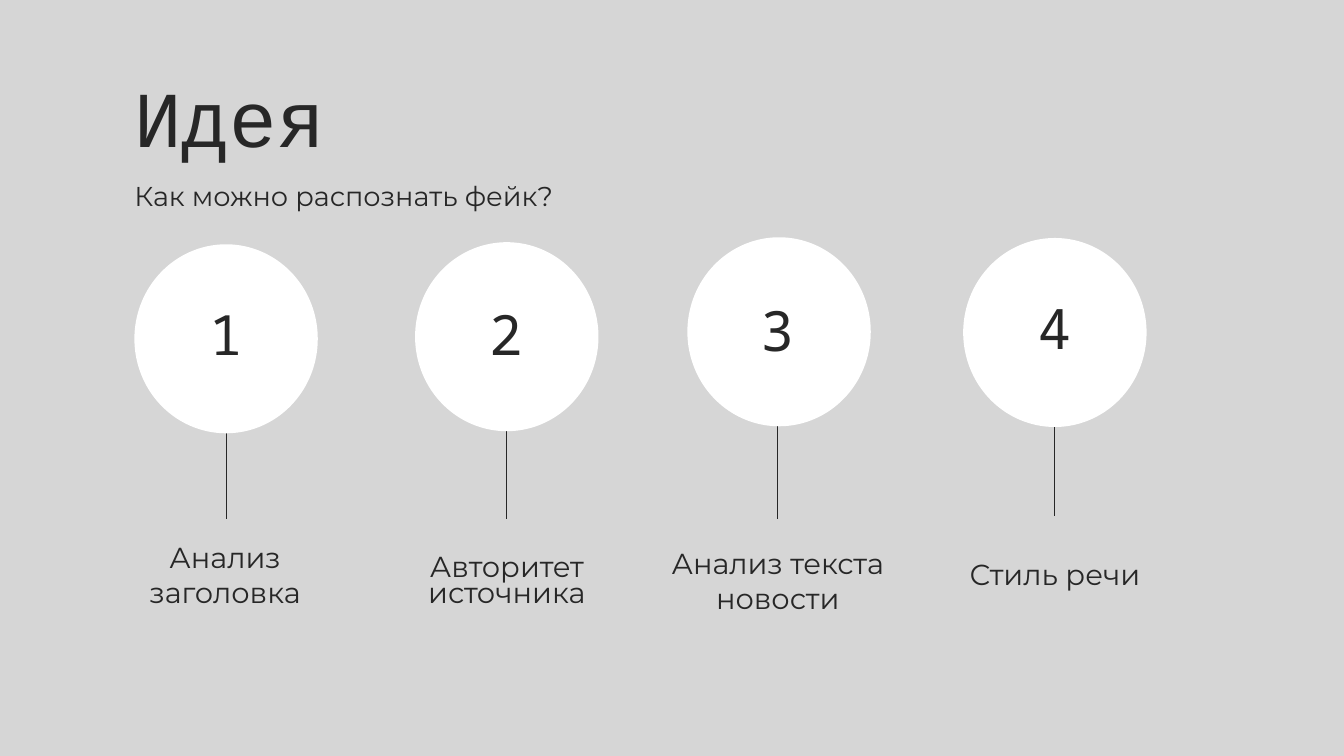
from dataclasses import dataclass

from lxml import etree
from pptx import Presentation
from pptx import util as u
from pptx.dml.color import RGBColor
from pptx.enum import shapes, text
from pptx.oxml.ns import qn


@dataclass(frozen=True)
class Theme:
    back: str = "D6D6D6"
    ink: str = "272727"
    disc: str = "FFFFFF"
    title_font: str = "Courier New"
    body_font: str = "Montserrat"
    number_font: str = "Noto Sans Mono"
    title: float = 84.9
    subtitle: float = 29.2
    label: float = 31
    number: float = 59.5


def px(n):
    return u.Emu(n * 9525)


def rgb(color):
    return RGBColor.from_string(color)


class Deck:
    def __init__(self, theme, width, height):
        self.theme = theme
        self.prs = Presentation()
        self.prs.slide_width, self.prs.slide_height = px(width), px(height)
        self.s = self.prs.slides.add_slide(self.prs.slide_layouts[6])
        fill = self.s.background.fill
        fill.solid()
        fill.fore_color.rgb = rgb(theme.back)

    def text(self, words, x, y, w, h, *, font, size, leading,
             align=text.PP_ALIGN.CENTER):
        sp = self.s.shapes.add_textbox(px(x), px(y), px(w), px(h))
        tf = sp.text_frame
        tf.word_wrap = True
        tf.auto_size = text.MSO_AUTO_SIZE.SHAPE_TO_FIT_TEXT
        tf.margin_left = tf.margin_right = tf.margin_top = tf.margin_bottom = 0
        p = tf.paragraphs[0]
        p.alignment = align
        p.line_spacing = u.Pt(leading)
        r = p.add_run()
        r.text = words
        r.font.name = font
        r.font.size = u.Pt(size)
        r.font.color.rgb = rgb(self.theme.ink)

    def circle(self, x, y, w, h):
        sp = self.s.shapes.add_shape(
            shapes.MSO_SHAPE.OVAL, px(x), px(y), px(w), px(h))
        sp.shadow.inherit = False
        sp.fill.solid()
        sp.fill.fore_color.rgb = rgb(self.theme.disc)
        sp.line.fill.background()

    def stem(self, x, top, bottom):
        c = self.s.shapes.add_connector(
            shapes.MSO_CONNECTOR.STRAIGHT, px(x), px(top), px(x), px(bottom))
        c.line.color.rgb = rgb(self.theme.ink)
        c.line.width = u.Pt(0.75)
        etree.SubElement(c.line._get_or_add_ln(), qn("a:headEnd"), type="oval")
        etree.SubElement(c._element.spPr, qn("a:effectLst"))


STEPS = [
    dict(label="Анализ заголовка", box=(182, 771, 279, 99), leading=37.2,
         stem=(323, 593, 741), circle=(192, 349), number=(229, 429)),
    dict(label="Авторитет источника", box=(584, 796, 280, 78), leading=27.9,
         stem=(724, 593, 741), circle=(593, 346), number=(629, 429)),
    dict(label="Анализ текста новости", box=(931, 780, 360, 99), leading=37.2,
         stem=(1110, 590, 741), circle=(982, 339), number=(1017, 423)),
    dict(label="Стиль речи", box=(1357, 795, 300, 50), leading=37.2,
         stem=(1506, 590, 737), circle=(1376, 340), number=(1413, 420)),
]


def main():
    t = Theme()
    deck = Deck(t, 1920, 1080)
    left = text.PP_ALIGN.LEFT
    deck.text("Идея", 192, 98, 1268, 145, font=t.title_font, size=t.title,
              leading=101.9, align=left)
    deck.text("Как можно распознать фейк?", 192, 252, 1268, 48,
              font=t.body_font, size=t.subtitle, leading=38, align=left)
    for i, step in enumerate(STEPS, 1):
        deck.text(step["label"], *step["box"], font=t.body_font, size=t.label,
                  leading=step["leading"])
        deck.stem(*step["stem"])
        deck.circle(*step["circle"], 262, 270)
        deck.text(str(i), *step["number"], 187, 102, font=t.number_font,
                  size=t.number, leading=71.3)
    deck.prs.save("out.pptx")


if __name__ == "__main__":
    main()
